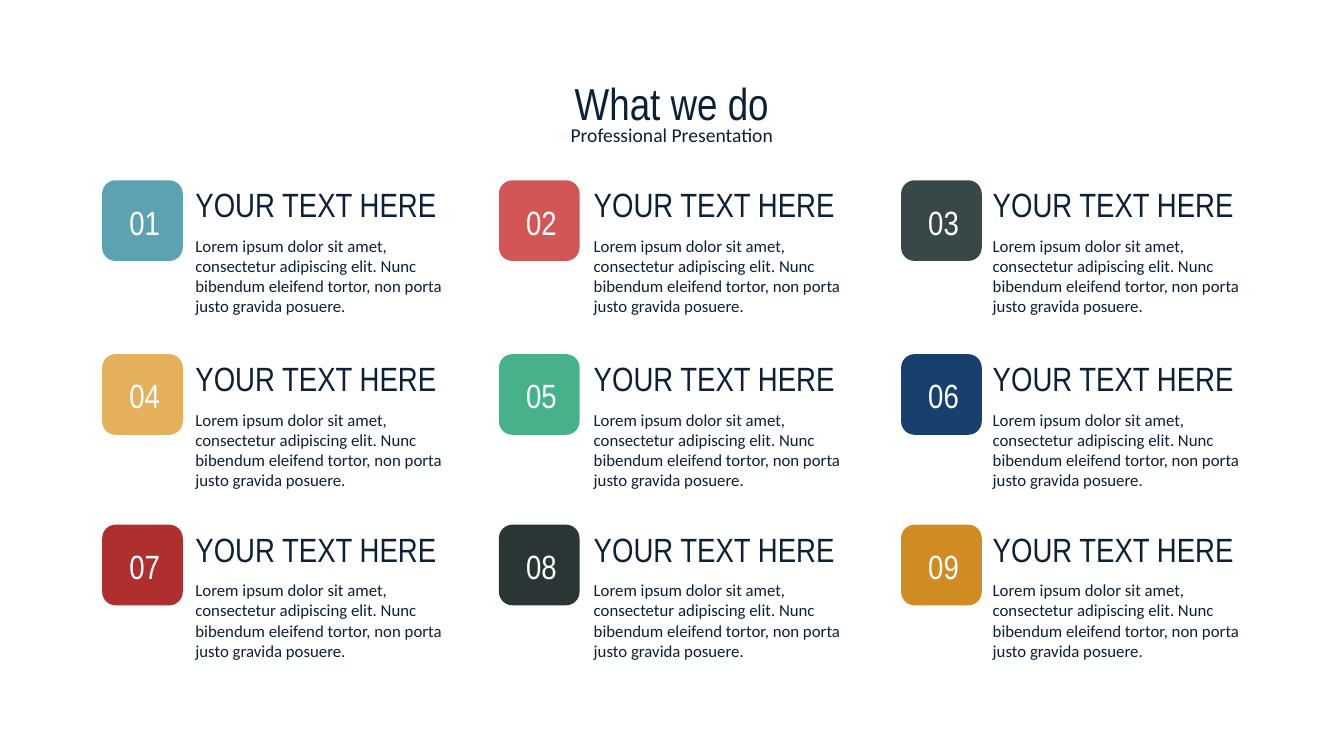
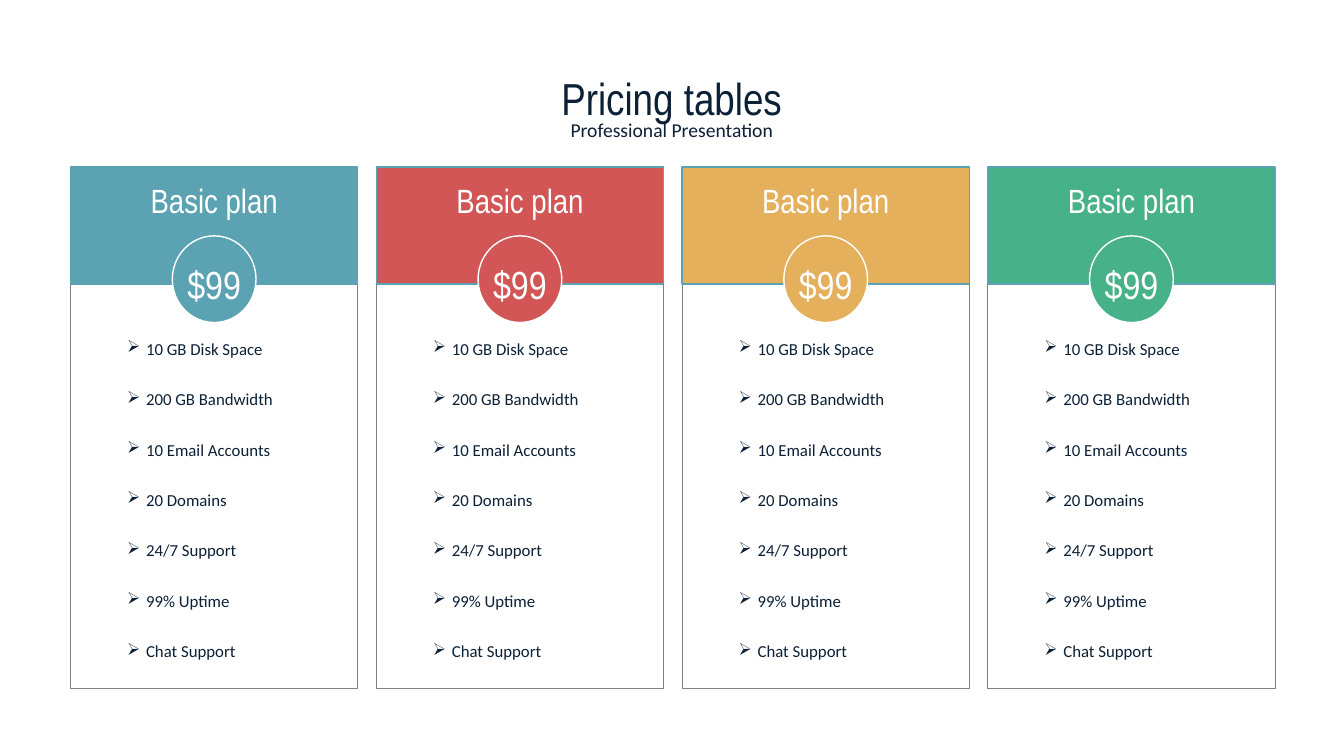
import itertools

import lxml.etree
import pptx
import pptx.dml.color
import pptx.enum.shapes
import pptx.enum.text
import pptx.oxml.ns
import pptx.util

Pt = pptx.util.Pt
RGBColor = pptx.dml.color.RGBColor
SHAPE = pptx.enum.shapes.MSO_SHAPE
ALIGN = pptx.enum.text.PP_ALIGN
ANCHOR = pptx.enum.text.MSO_ANCHOR

NAVY = RGBColor(0x0C, 0x20, 0x36)
WHITE = RGBColor(0xFF, 0xFF, 0xFF)
GRAY = RGBColor(0x80, 0x80, 0x80)
TEAL = RGBColor(0x5B, 0xA3, 0xB2)
CORAL = RGBColor(0xD2, 0x56, 0x56)
SLATE = RGBColor(0x38, 0x48, 0x48)
SAND = RGBColor(0xE4, 0xB0, 0x5C)
GREEN = RGBColor(0x47, 0xB1, 0x89)
BLUE = RGBColor(0x17, 0x40, 0x6D)
RED = RGBColor(0xAF, 0x2F, 0x2F)
CHARCOAL = RGBColor(0x2A, 0x36, 0x36)
OCHRE = RGBColor(0xCE, 0x8C, 0x22)

HEADING_FONT = "Arial Narrow"
BODY_FONT = "Calibri"

LOREM = ("Lorem ipsum dolor sit amet, consectetur adipiscing elit. Nunc bibendum "
         "eleifend tortor, non porta justo gravida posuere.")
FEATURES = ["10 GB Disk Space", "200 GB Bandwidth", "10 Email Accounts", "20 Domains",
            "24/7 Support", "99% Uptime", "Chat Support"]


class Designer:
    def __init__(self):
        self.deck = pptx.Presentation()
        self.deck.slide_width = Pt(960)
        self.deck.slide_height = Pt(540)
        self.page = None

    def new_page(self, title, top):
        self.page = self.deck.slides.add_slide(self.deck.slide_layouts[6])
        self.text(title, 63.4, top, 833, 46, 32, HEADING_FONT, align=ALIGN.CENTER)
        self.text("Professional Presentation", 63.4, top + 33.8, 833, 24.2, 14,
                  BODY_FONT, align=ALIGN.CENTER)

    def set_text(self, frame, text, size, font, color, align):
        frame.text = text
        for para in frame.paragraphs:
            para.alignment = align
            for span in para.runs:
                span.font.size = Pt(size)
                span.font.name = font
                span.font.color.rgb = color

    def text(self, text, left, top, width, height, size, font, align=ALIGN.LEFT):
        box = self.page.shapes.add_textbox(Pt(left), Pt(top), Pt(width), Pt(height))
        box.text_frame.word_wrap = True
        self.set_text(box.text_frame, text, size, font, NAVY, align)
        return box.text_frame

    def shape(self, kind, left, top, width, height, fill=None, line=None, weight=1):
        shape = self.page.shapes.add_shape(kind, Pt(left), Pt(top), Pt(width), Pt(height))
        shape.shadow.inherit = False
        if fill is None:
            shape.fill.background()
        else:
            shape.fill.solid()
            shape.fill.fore_color.rgb = fill
        if line is None:
            shape.line.fill.background()
        else:
            shape.line.color.rgb = line
            shape.line.width = Pt(weight)
        return shape

    def label(self, shape, text, size, top_inset, anchor=ANCHOR.MIDDLE):
        """Put white centred heading text inside a shape, lowered by top_inset."""
        frame = shape.text_frame
        frame.word_wrap = False
        frame.vertical_anchor = anchor
        frame.margin_left = frame.margin_right = frame.margin_bottom = 0
        frame.margin_top = Pt(top_inset)
        self.set_text(frame, text, size, HEADING_FONT, WHITE, ALIGN.CENTER)

    def bullets(self, items, left, top, width, height):
        frame = self.text("\n".join(items), left, top, width, height, 12, BODY_FONT)
        for para in frame.paragraphs:
            para.line_spacing = 2.5
            props = para._p.get_or_add_pPr()
            props.set("marL", str(Pt(13.5)))
            props.set("indent", str(-Pt(13.5)))
            bullet = lxml.etree.SubElement(props, pptx.oxml.ns.qn("a:buChar"))
            bullet.set("char", "➢")

    def service(self, number, color, tile_left, text_left, top):
        tile = self.shape(SHAPE.ROUNDED_RECTANGLE, tile_left, top + 0.8, 57.6, 57.6, color)
        self.label(tile, f"{number:02}", 24, 1.5)
        tile.text_frame.margin_left = Pt(3)
        self.text("YOUR TEXT HERE", text_left, top, 209, 36, 24, HEADING_FONT)
        self.text(LOREM, text_left, top + 36.7, 209, 65.5, 12, BODY_FONT)

    def plan(self, color, left):
        self.shape(SHAPE.RECTANGLE, left, 176.4, 205.2, 315.4, line=GRAY, weight=0)
        self.bullets(FEATURES, left + 33.4, 216.7, 139, 262)
        header = self.shape(SHAPE.RECTANGLE, left, 119.2, 205.2, 83.8, color, TEAL)
        self.label(header, "Basic plan", 24, 9.6, ANCHOR.TOP)
        badge = self.shape(SHAPE.OVAL, left + 72.7, 168.5, 59.8, 61.9, color, WHITE)
        self.label(badge, "$99", 28, 6.5)


def main():
    designer = Designer()

    designer.new_page("What we do", 50.4)
    columns = [(73, 132.5), (356.4, 417), (643.7, 702)]
    rows = [128, 252.2, 374]
    colors = [TEAL, CORAL, SLATE, SAND, GREEN, BLUE, RED, CHARCOAL, OCHRE]
    cells = itertools.product(rows, columns)
    for number, (color, (top, (tile_left, text_left))) in enumerate(zip(colors, cells), 1):
        designer.service(number, color, tile_left, text_left, top)

    designer.new_page("Pricing tables", 46.8)
    for index, color in enumerate([TEAL, CORAL, SAND, GREEN]):
        designer.plan(color, 50.4 + index * 218.4)

    designer.deck.save("out.pptx")


if __name__ == "__main__":
    main()
